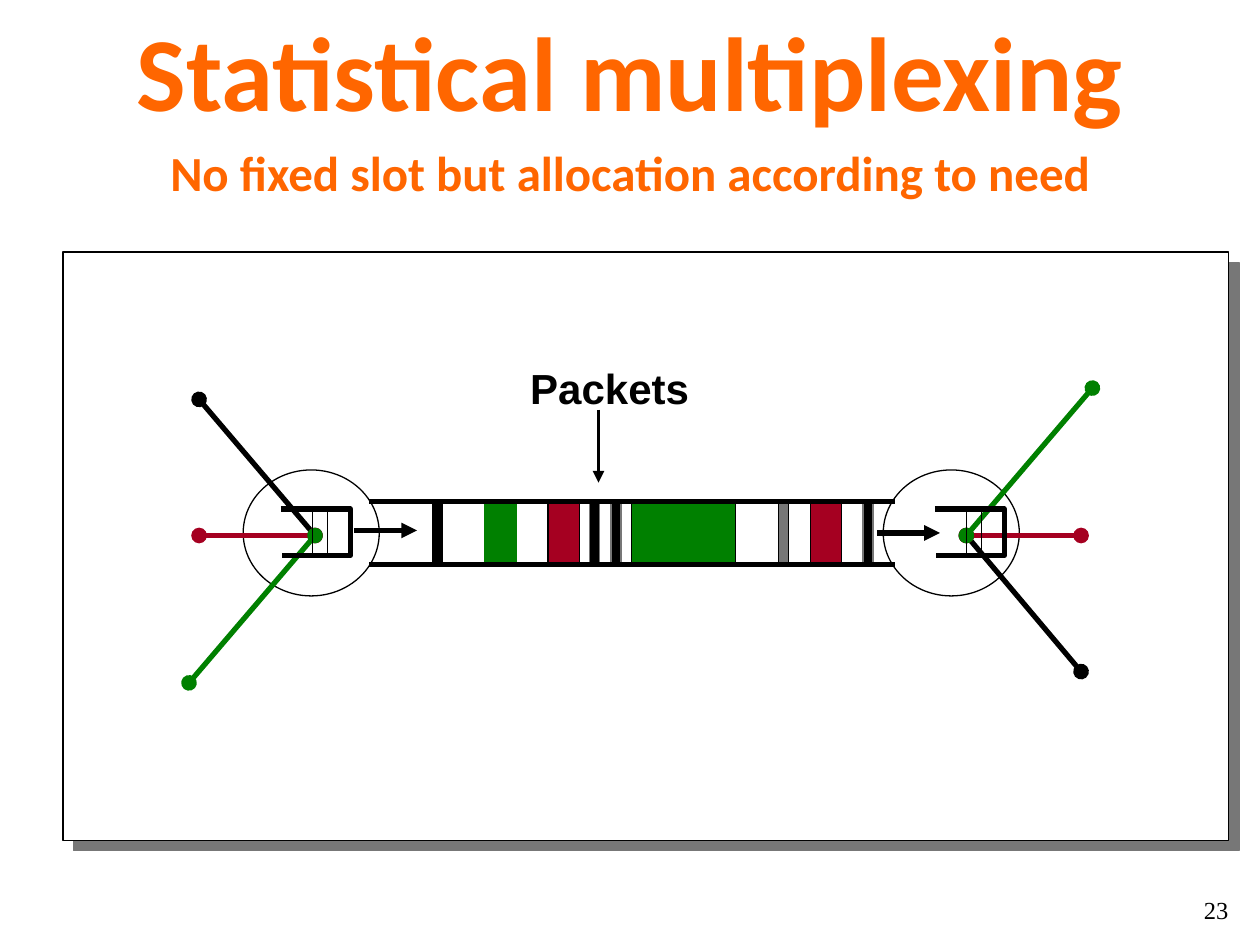
"""Build the statistical multiplexing slide."""
from lxml import etree
from pptx import Presentation, util as u
from pptx.dml.color import RGBColor
from pptx.enum import shapes, text
from pptx.oxml import parse_xml
from pptx.oxml.ns import nsdecls, qn

BLACK, GREY, WHITE = "000000", "777777", "FFFFFF"
GREEN, RED, ORANGE = "008000", "A50021", "FF6600"

TITLE = "Statistical multiplexing"
SUBTITLE = "No fixed slot but allocation according to need"
LABEL = "Packets"
PAGE_NUMBER = "23"

FRAME = (0.5, 2, 9.25, 4.67)
NODE_LEFTS = (1.93, 7.01)
LINK_ENDS, LINK_TOP, LINK_BOTTOM = (2.93, 7.1), 3.98, 4.48
PACKETS = [  # left, width, fill, border
    (6.85, 0.08, BLACK, GREY),
    (3.43, 0.08, BLACK, BLACK),
    (3.85, 0.25, GREEN, GREEN),
    (4.35, 0.25, RED, BLACK),
    (4.85, 0.08, BLACK, GREY),
    (5.01, 0.83, GREEN, BLACK),
    (6.18, 0.08, GREY, BLACK),
    (6.43, 0.25, RED, BLACK),
    (4.68, 0.08, BLACK, GREY),
]
ARROWS = [((2.81, 4.21), (3.31, 4.21), 3), ((6.96, 4.23), (7.46, 4.23), 3),
          ((4.75, 3.25), (4.75, 3.83), 2.25)]
QUEUES = [(2.23, (2.6, 2.48)), (7.42, (7.79, 7.67))]
HOSTS = [
    ((2.5, 4.25), [(1.58, 3.17, BLACK), (1.58, 4.25, RED), (1.5, 5.42, GREEN)]),
    ((7.67, 4.25), [(8.58, 5.33, BLACK), (8.58, 4.25, RED), (8.67, 3.08, GREEN)]),
]


def color(value):
    return RGBColor.from_string(value)


def write(box, words, size, font="Calibri", fill=BLACK, bold=False,
          align=text.PP_ALIGN.LEFT, anchor=text.MSO_ANCHOR.TOP, wrap=True, margin=None):
    frame = box.text_frame
    frame.auto_size = text.MSO_AUTO_SIZE.NONE
    frame.word_wrap = wrap
    frame.vertical_anchor = anchor
    if margin is not None:
        frame.margin_left = frame.margin_right = u.Inches(margin)
        frame.margin_top = frame.margin_bottom = u.Inches(margin)
    para = frame.paragraphs[0]
    para.alignment = align
    para.space_before = u.Pt(0)
    span = para.add_run()
    span.text = words
    span.font.size, span.font.name, span.font.bold = u.Pt(size), font, bold
    span.font.color.rgb = color(fill)


def place(box, left, top, width, height):
    box.left, box.top = u.Inches(left), u.Inches(top)
    box.width, box.height = u.Inches(width), u.Inches(height)


def add_box(page, kind, area, fill=None, border=BLACK):
    box = page.shapes.add_shape(kind, *map(u.Inches, area))
    box.shadow.inherit = False
    if fill:
        box.fill.solid()
        box.fill.fore_color.rgb = color(fill)
    else:
        box.fill.background()
    box.line.color.rgb = color(border)
    box.line.width = u.Pt(0.75)
    return box


def add_line(page, start, end, width, stroke=BLACK, head=None, tail=None):
    line = page.shapes.add_connector(
        shapes.MSO_CONNECTOR.STRAIGHT, *map(u.Inches, (*start, *end)))
    line.line.color.rgb = color(stroke)
    line.line.width = u.Pt(width)
    properties = line._element.spPr
    for tag, mark in (("a:headEnd", head), ("a:tailEnd", tail)):
        if mark:
            etree.SubElement(properties.find(qn("a:ln")), qn(tag), type=mark)
    etree.SubElement(properties, qn("a:effectLst"))


def add_frame_shadow(frame):
    effects = frame._element.spPr.find(qn("a:effectLst"))
    effects.append(parse_xml(
        f'<a:outerShdw {nsdecls("a")} blurRad="0" dist="{u.Pt(8.5)}" dir="2700000" '
        f'algn="tl" rotWithShape="0"><a:srgbClr val="{GREY}"/></a:outerShdw>'))


def add_queue(page, left, dividers):
    top, bottom, right = 4.04, 4.41, left + 0.55
    builder = page.shapes.build_freeform(u.Inches(left), u.Inches(top))
    corners = [(right, top), (right, bottom), (left + 0.01, bottom)]
    builder.add_line_segments(
        [(u.Inches(x), u.Inches(y)) for x, y in corners], close=False)
    bracket = builder.convert_to_shape()
    bracket.shadow.inherit = False
    bracket.fill.background()
    bracket.line.color.rgb = color(BLACK)
    bracket.line.width = u.Pt(3)
    for x in dividers:
        add_line(page, (x, 4.05), (x, 4.42), 0.75)


def main():
    deck = Presentation()
    deck.slide_width, deck.slide_height = u.Inches(10), u.Inches(7.5)
    page = deck.slides.add_slide(deck.slide_layouts[0])

    center, middle = text.PP_ALIGN.CENTER, text.MSO_ANCHOR.MIDDLE
    title, subtitle = page.placeholders
    place(title, 0, 0, 10, 1.11)
    write(title, TITLE, 60, fill=ORANGE, bold=True, align=center, anchor=middle)
    place(subtitle, 0, 1.08, 10, 0.57)
    write(subtitle, SUBTITLE, 28, fill=ORANGE, bold=True, align=center)

    number = page.shapes.add_textbox(*map(u.Inches, (8.75, 6.92, 1, 0.42)))
    write(number, PAGE_NUMBER, 14, font="Times New Roman", align=text.PP_ALIGN.RIGHT,
          anchor=text.MSO_ANCHOR.BOTTOM, margin=0)

    rectangle = shapes.MSO_SHAPE.RECTANGLE
    add_frame_shadow(add_box(page, rectangle, FRAME, WHITE))
    for left in NODE_LEFTS:
        add_box(page, shapes.MSO_SHAPE.OVAL, (left, 3.73, 1.08, 1))
    for left, width, fill, border in PACKETS:
        area = (left, LINK_TOP, width, LINK_BOTTOM - LINK_TOP)
        add_box(page, rectangle, area, fill, border)

    label = page.shapes.add_textbox(*map(u.Inches, (4.11, 2.83, 1.46, 0.5)))
    write(label, LABEL, 24, font="Arial", bold=True, wrap=False)

    for y in (LINK_BOTTOM, LINK_TOP):
        add_line(page, (LINK_ENDS[0], y), (LINK_ENDS[1], y), 3)
    for start, end, width in ARROWS:
        add_line(page, start, end, width, tail="triangle")
    for hub, hosts in HOSTS:
        for x, y, stroke in hosts:
            add_line(page, (x, y), hub, 3, stroke, head="oval", tail="oval")
    for left, dividers in QUEUES:
        add_queue(page, left, dividers)

    deck.save("out.pptx")


if __name__ == "__main__":
    main()
